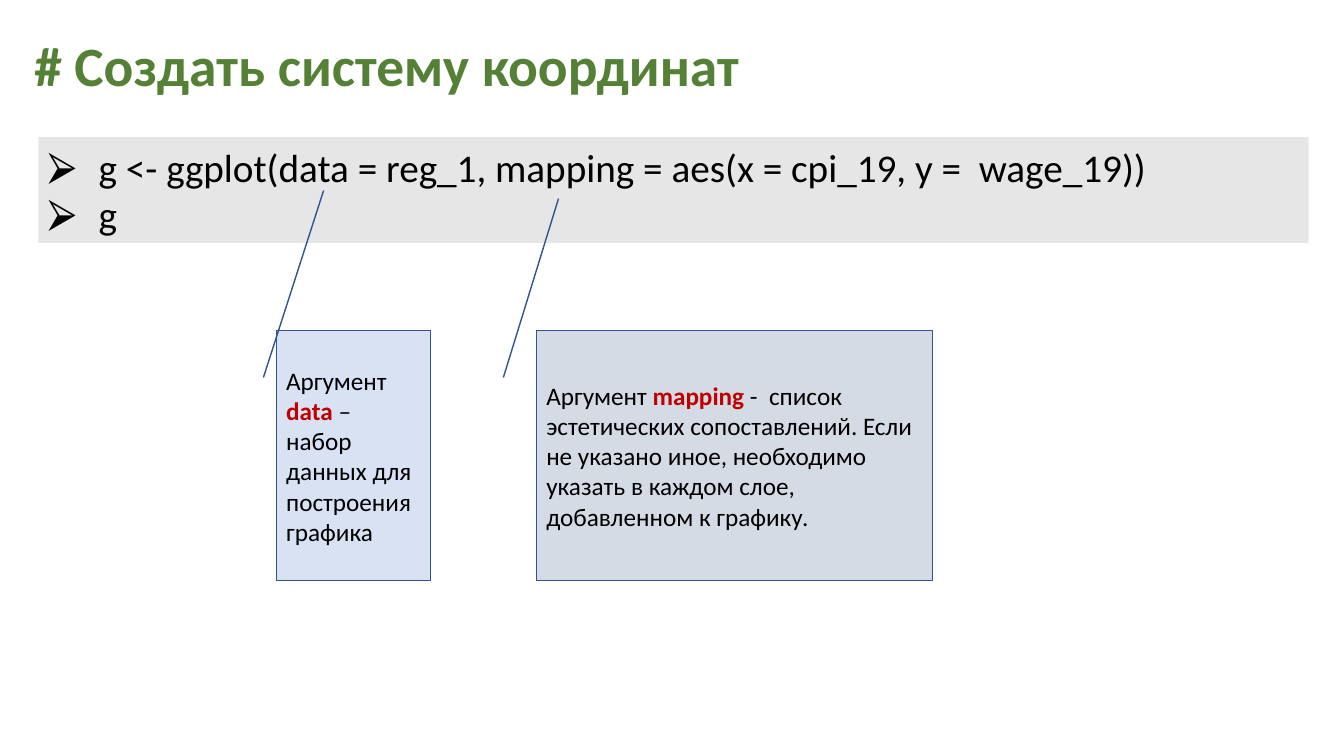
"""Build a slide that explains the arguments of a ggplot call."""
from dataclasses import dataclass

from lxml.etree import SubElement
from pptx import Presentation
from pptx.dml.color import RGBColor
from pptx.enum.shapes import MSO_SHAPE
from pptx.enum.text import MSO_ANCHOR, MSO_AUTO_SIZE, PP_ALIGN
from pptx.oxml.ns import qn
from pptx.util import Inches, Pt


@dataclass(frozen=True)
class Theme:
    font: str = "Calibri"
    title: str = "548135"
    text: str = "000000"
    accent: str = "C00000"
    code_fill: str = "E7E6E6"
    data_fill: str = "D8E2F3"
    mapping_fill: str = "D5DBE5"
    outline: str = "31538F"
    title_size: float = 39.6
    code_size: float = 28
    note_size: float = 18


class SlideBuilder:
    def __init__(self, prs, theme):
        self.theme = theme
        self.slide = prs.slides.add_slide(prs.slide_layouts[5])

    def run(self, p, text, size, color, bold=False):
        r = p.add_run()
        r.text = text
        r.font.name = self.theme.font
        r.font.size = Pt(size)
        r.font.bold = bold
        r.font.color.rgb = RGBColor.from_string(color)

    def frame(self, sp):
        tf = sp.text_frame
        tf.word_wrap = True
        tf.auto_size = MSO_AUTO_SIZE.NONE
        tf.vertical_anchor = MSO_ANCHOR.MIDDLE
        tf.paragraphs[0].alignment = PP_ALIGN.LEFT
        return tf

    def title(self, text, left, top, width, height):
        sp = self.slide.shapes.title
        sp.left, sp.top = Inches(left), Inches(top)
        sp.width, sp.height = Inches(width), Inches(height)
        p = self.frame(sp).paragraphs[0]
        p.line_spacing = 0.9
        self.run(p, text, self.theme.title_size, self.theme.title, True)

    def shape(self, kind, fill, left, top, width, height):
        sp = self.slide.shapes.add_shape(
            kind, Inches(left), Inches(top), Inches(width), Inches(height))
        sp.shadow.inherit = False
        sp.fill.solid()
        sp.fill.fore_color.rgb = RGBColor.from_string(fill)
        return sp

    def bullet(self, p):
        pPr = p._p.get_or_add_pPr()
        pPr.set("marL", str(Inches(0.5)))
        pPr.set("indent", str(-Inches(0.5)))
        color = SubElement(pPr, qn("a:buClr"))
        SubElement(color, qn("a:srgbClr"), val=self.theme.text)
        SubElement(pPr, qn("a:buFont"), typeface=self.theme.font)
        SubElement(pPr, qn("a:buChar"), char="⮚")

    def code(self, lines, left, top, width, height):
        sp = self.shape(MSO_SHAPE.RECTANGLE, self.theme.code_fill,
                        left, top, width, height)
        sp.line.fill.background()
        tf = self.frame(sp)
        for i, line in enumerate(lines):
            p = tf.add_paragraph() if i else tf.paragraphs[0]
            p.alignment = PP_ALIGN.LEFT
            self.bullet(p)
            self.run(p, line, self.theme.code_size, self.theme.text)

    def callout(self, argument, meaning, fill, left, width, tip):
        top, height = 3.28, 2.48
        sp = self.shape(MSO_SHAPE.LINE_CALLOUT_1, fill,
                        left, top, width, height)
        tip_x, tip_y = tip
        adjustments = (0.1875, -0.0833,
                       (tip_y - top) / height, (tip_x - left) / width)
        for i, value in enumerate(adjustments):
            sp.adjustments[i] = value
        sp.line.color.rgb = RGBColor.from_string(self.theme.outline)
        sp.line.width = Pt(1)
        p = self.frame(sp).paragraphs[0]
        size, text = self.theme.note_size, self.theme.text
        self.run(p, "Аргумент ", size, text)
        self.run(p, argument, size, self.theme.accent, True)
        self.run(p, meaning, size, text)


def main():
    prs = Presentation()
    prs.slide_width, prs.slide_height = Inches(13.33), Inches(7.5)
    theme = Theme()
    s = SlideBuilder(prs, theme)
    s.title("# Создать систему координат", 0.24, 0.4, 12.74, 0.56)
    s.code(["g <- ggplot(data = reg_1, mapping = aes(x = cpi_19, y =  wage_19))",
            "g"], 0.38, 1.36, 12.6, 1.05)
    s.callout("data", " – набор данных для построения графика",
              theme.data_fill, 2.74, 1.53, (3.21, 1.89))
    s.callout("mapping",
              " -  cписок эстетических сопоставлений. Если не указано иное, "
              "необходимо указать в каждом слое, добавленном к графику.",
              theme.mapping_fill, 5.32, 3.93, (5.54, 1.97))
    prs.save("out.pptx")


if __name__ == "__main__":
    main()
